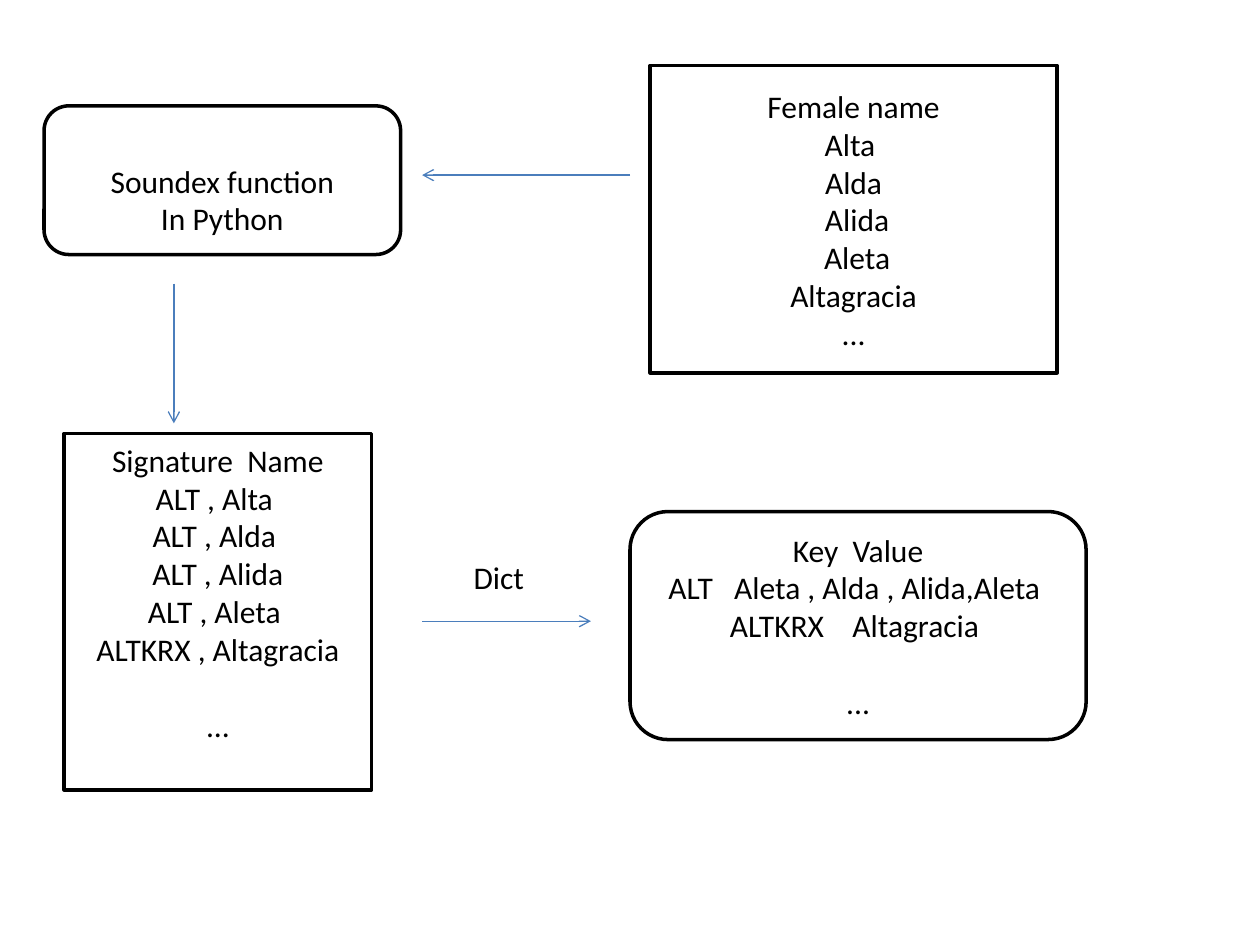
from lxml.etree import SubElement
from pptx import Presentation
from pptx.dml.color import RGBColor
from pptx.enum.shapes import MSO_CONNECTOR, MSO_SHAPE
from pptx.enum.text import MSO_ANCHOR, MSO_AUTO_SIZE, PP_ALIGN
from pptx.oxml.ns import qn
from pptx.util import Inches, Pt

BLACK = RGBColor(0, 0, 0)
WHITE = RGBColor(255, 255, 255)
ARROW_BLUE = RGBColor(0x4B, 0x7E, 0xBC)
FONT_NAME = "Calibri"
FONT_SIZE = Pt(18)
LINE_GAP = Pt(22)

# The slide is a grid of 100 columns by 75 rows
COLUMNS, ROWS = 100, 75
CELL = Inches(10) // COLUMNS


def grid(*cells):
    return [round(cell * CELL) for cell in cells]


def write_lines(text_frame, lines, alignment):
    for index, line in enumerate(lines):
        paragraph = text_frame.paragraphs[0] if index == 0 else text_frame.add_paragraph()
        paragraph.alignment = alignment
        # The closing ellipsis of a paired list stands one line apart
        if line == "..." and "," in "".join(lines):
            paragraph.space_before = LINE_GAP
        run = paragraph.add_run()
        run.text = line
        run.font.name = FONT_NAME
        run.font.size = FONT_SIZE
        run.font.color.rgb = BLACK


def add_box(slide, kind, box, lines, top_gap=0, bottom_gap=0):
    shape = slide.shapes.add_shape(kind, *grid(*box))
    shape.shadow.inherit = False
    shape.fill.solid()
    shape.fill.fore_color.rgb = WHITE
    shape.line.color.rgb = BLACK
    shape.line.width = Pt(2)
    text_frame = shape.text_frame
    text_frame.word_wrap = True
    text_frame.vertical_anchor = MSO_ANCHOR.MIDDLE
    text_frame.margin_top = Inches(0.05) + top_gap
    text_frame.margin_bottom = Inches(0.05) + bottom_gap
    write_lines(text_frame, lines, PP_ALIGN.CENTER)


def add_arrow(slide, start, end):
    connector = slide.shapes.add_connector(MSO_CONNECTOR.STRAIGHT, *grid(*start, *end))
    connector.line.color.rgb = ARROW_BLUE
    connector.line.width = Pt(0.75)
    SubElement(connector.line._get_or_add_ln(), qn("a:tailEnd"), type="arrow")
    SubElement(connector._element.spPr, qn("a:effectLst"))


def add_label(slide, box, text):
    label = slide.shapes.add_textbox(*grid(*box))
    label.text_frame.word_wrap = False
    label.text_frame.auto_size = MSO_AUTO_SIZE.SHAPE_TO_FIT_TEXT
    write_lines(label.text_frame, [text], PP_ALIGN.LEFT)


def build_flow(slide):
    # Signatures and the dictionary made from them
    add_box(slide, MSO_SHAPE.RECTANGLE, (5.1, 34.4, 24.4, 28.3),
            ["Signature  Name", "ALT , Alta ", "ALT , Alda ", "ALT , Alida",
             "ALT , Aleta ", "ALTKRX , Altagracia", "..."], bottom_gap=LINE_GAP)
    add_arrow(slide, (33.5, 49.3), (46.9, 49.3))
    add_box(slide, MSO_SHAPE.ROUNDED_RECTANGLE, (50, 40.6, 36.2, 18.1),
            ["Key  Value", "ALT   Aleta , Alda , Alida,Aleta ",
             "ALTKRX    Altagracia ", "..."])
    add_label(slide, (36.6, 43.8, 6.1, 4), "Dict")

    # Names passed to the Soundex function
    add_arrow(slide, (13.8, 22.5), (13.8, 33.6))
    add_box(slide, MSO_SHAPE.ROUNDED_RECTANGLE, (3.5, 8.4, 28.3, 11.8),
            ["Soundex function", "In Python"], top_gap=LINE_GAP)
    add_box(slide, MSO_SHAPE.RECTANGLE, (51.6, 5.2, 32.3, 24.4),
            ["Female name", "Alta ", "Alda", " Alida", " Aleta",
             " Altagracia ", "..."])
    add_arrow(slide, (50, 13.9), (33.5, 13.9))


def main():
    presentation = Presentation()
    presentation.slide_width = COLUMNS * CELL
    presentation.slide_height = ROWS * CELL
    slide = presentation.slides.add_slide(presentation.slide_layouts[6])
    build_flow(slide)
    presentation.save("out.pptx")


if __name__ == "__main__":
    main()
